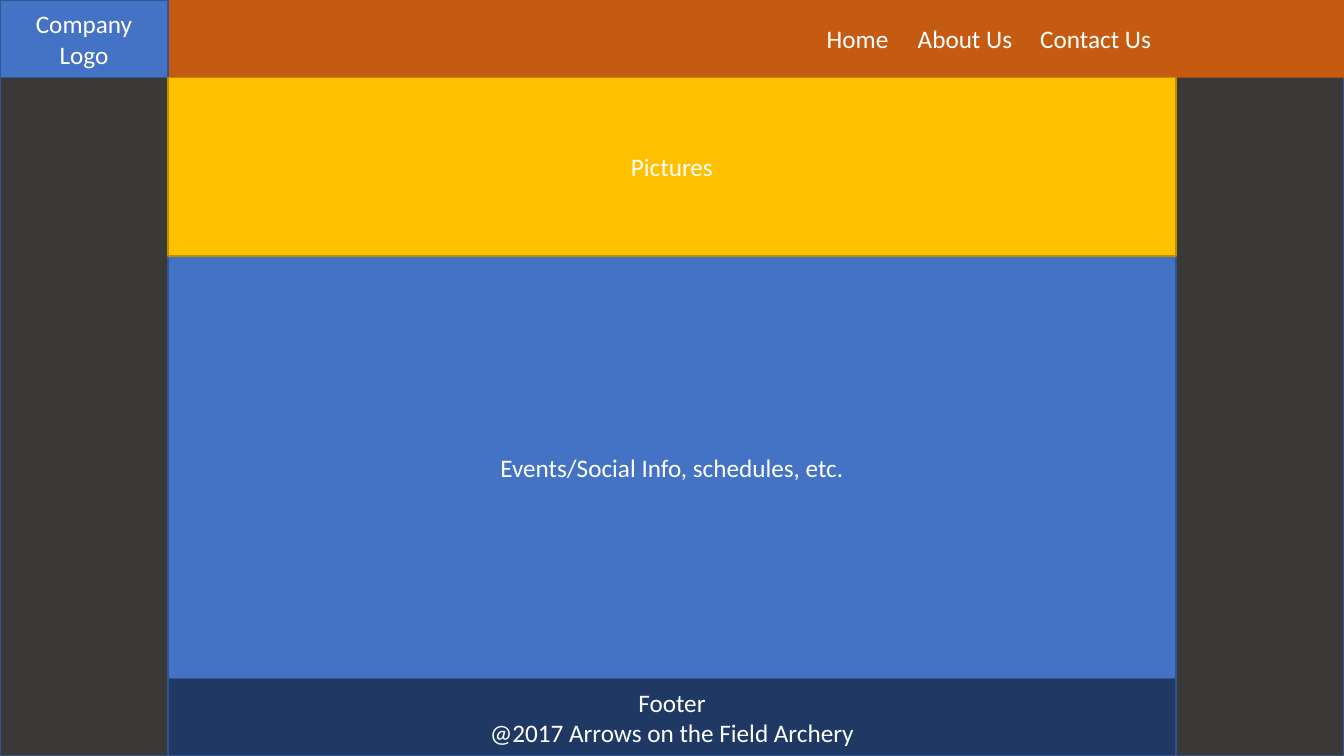
from dataclasses import dataclass

from lxml import etree
from pptx import Presentation
from pptx.dml.color import RGBColor
from pptx.enum.shapes import MSO_SHAPE
from pptx.enum.text import MSO_ANCHOR, PP_ALIGN
from pptx.oxml.ns import qn
from pptx.util import Pt

RECTANGLE = MSO_SHAPE.RECTANGLE
MIDDLE = MSO_ANCHOR.MIDDLE
LEFT, CENTER = PP_ALIGN.LEFT, PP_ALIGN.CENTER
BLANK_LAYOUT = 6


@dataclass(frozen=True)
class Theme:
    font: str = "Calibri"
    text_size: float = 18
    line_width: float = 1
    text: str = "FFFFFF"
    page: str = "3B3838"
    header: str = "C55A11"
    panel: str = "4472C4"
    footer: str = "203864"
    pictures: str = "FFC000"
    blue_line: str = "325491"
    gold_line: str = "BD8E00"


THEME = Theme()

# Page grid in points
PAGE_WIDTH, PAGE_HEIGHT = 960, 540
SIDE_WIDTH = 120
BAR_HEIGHT = 55.5
PICTURES_HEIGHT = 127.5
CONTENT_WIDTH = PAGE_WIDTH - 2 * SIDE_WIDTH

# Menu entries with their left edges in the header
MENU = {"Home": 590.5, "About Us": 655.5, "Contact Us": 743}


def add_block(slide, box, fill, line=None, text="", align=CENTER):
    """Add a filled rectangle with vertically centred text."""
    shape = slide.shapes.add_shape(RECTANGLE, *(Pt(length) for length in box))
    shape.shadow.inherit = False
    shape.fill.solid()
    shape.fill.fore_color.rgb = RGBColor.from_string(fill)
    if line:
        shape.line.color.rgb = RGBColor.from_string(line)
        shape.line.width = Pt(THEME.line_width)
    else:
        shape.line.fill.background()
    if text:
        frame = shape.text_frame
        frame.word_wrap = True
        frame.vertical_anchor = MIDDLE
        paragraph = frame.paragraphs[0]
        paragraph.text = text
        paragraph.alignment = align
        font_format = {"name": THEME.font, "size": Pt(THEME.text_size)}
        for run in paragraph.runs:
            for name, value in font_format.items():
                setattr(run.font, name, value)
            run.font.color.rgb = RGBColor.from_string(THEME.text)
    return shape


def add_header(slide, box):
    """Place the menu bar and the logo block at its left end."""
    left, top, width, height = box
    bar = add_block(slide, box, THEME.header, text="\t".join(MENU), align=LEFT)
    first, *others = MENU.values()
    bar.text_frame.margin_left = Pt(first)

    # Tab stops align the remaining menu entries
    properties = bar.text_frame.paragraphs[0]._p.get_or_add_pPr()
    tab_list = etree.SubElement(properties, qn("a:tabLst"))
    for position in others:
        etree.SubElement(tab_list, qn("a:tab"),
                         pos=str(Pt(position - first)), algn="l")

    add_block(slide, (left, top, SIDE_WIDTH, height), THEME.panel,
              THEME.blue_line, "Company Logo")


def add_content(slide, box):
    """Stack the pictures, events and footer blocks down the column."""
    left, top, width, height = box
    events_top = top + PICTURES_HEIGHT
    footer_top = top + height - BAR_HEIGHT
    blocks = [
        (footer_top, BAR_HEIGHT, THEME.footer, THEME.blue_line,
         "Footer\v@2017 Arrows on the Field Archery"),
        (events_top, footer_top - events_top, THEME.panel, THEME.blue_line,
         "Events/Social Info, schedules, etc."),
        (top, PICTURES_HEIGHT, THEME.pictures, THEME.gold_line, "Pictures"),
    ]
    for block_top, block_height, fill, line, text in blocks:
        add_block(slide, (left, block_top, width, block_height), fill, line, text)


def build_home_page(slide, box):
    """Lay out the whole website wireframe."""
    left, top, width, height = box
    add_block(slide, box, THEME.page, THEME.blue_line)
    add_header(slide, (left, top, width, BAR_HEIGHT))
    add_content(slide, (left + SIDE_WIDTH, top + BAR_HEIGHT,
                        CONTENT_WIDTH, height - BAR_HEIGHT))


presentation = Presentation()
presentation.slide_width = Pt(PAGE_WIDTH)
presentation.slide_height = Pt(PAGE_HEIGHT)
home_slide = presentation.slides.add_slide(presentation.slide_layouts[BLANK_LAYOUT])
build_home_page(home_slide, (0, 0, PAGE_WIDTH, PAGE_HEIGHT))
presentation.save("out.pptx")
